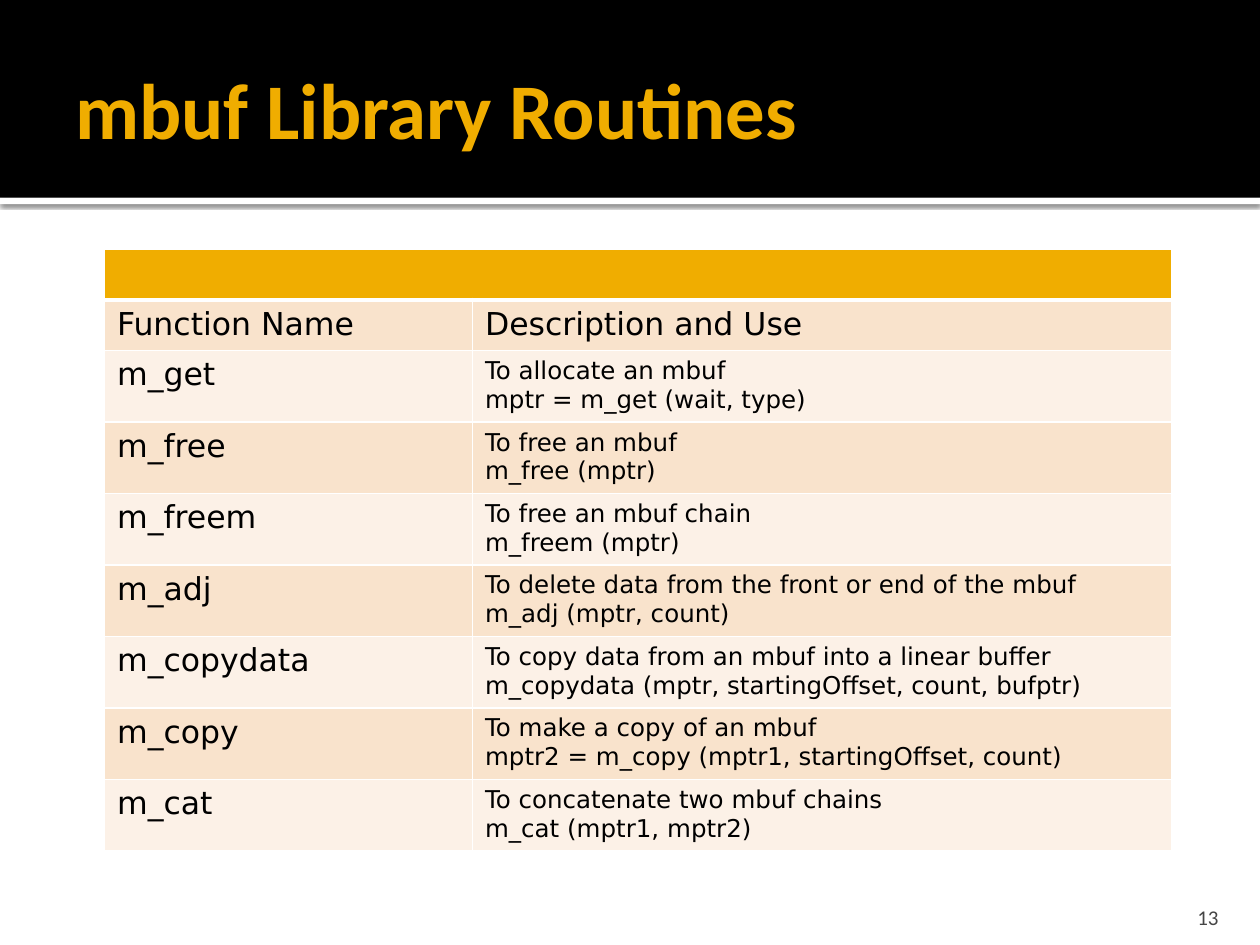
from lxml import etree
from pptx import Presentation
from pptx import util as u
from pptx.dml.color import RGBColor
from pptx.enum import shapes, text
from pptx.oxml.ns import qn

COLORS = {
    "white": "FFFFFF", "black": "000000", "gold": "F0AD00",
    "dark_band": "F9E3CC", "light_band": "FCF1E7", "gray": "454545",
}


class SlideBuilder:
    heading_font = "Calibri"
    table_font = "DejaVu Sans"

    def __init__(self, slide):
        self.slide = slide

    def color(self, name):
        return RGBColor.from_string(COLORS[name])

    def box(self, place):
        return [u.Inches(length) for length in place]

    def bar(self, place, color):
        shape = self.slide.shapes.add_shape(shapes.MSO_SHAPE.RECTANGLE, *self.box(place))
        shape.shadow.inherit = False
        shape.fill.solid()
        shape.fill.fore_color.rgb = self.color(color)
        shape.line.fill.background()
        return shape

    def cast_shadow(self, shape, blur, distance, opacity):
        effects = shape._element.spPr.find(qn("a:effectLst"))
        shadow = etree.SubElement(
            effects, qn("a:outerShdw"), blurRad=str(u.Pt(blur)),
            dist=str(u.Pt(distance)), dir="5400000", algn="t", rotWithShape="0")
        tint = etree.SubElement(shadow, qn("a:srgbClr"), val=COLORS["black"])
        etree.SubElement(tint, qn("a:alpha"), val=str(opacity * 1000))

    def add_lines(self, frame, lines, size, font, color, bold=False, align=None):
        for index, line in enumerate(lines):
            paragraph = frame.paragraphs[0] if index == 0 else frame.add_paragraph()
            paragraph.alignment = align
            run = paragraph.add_run()
            run.text = line
            run.font.size = u.Pt(size)
            run.font.name = font
            run.font.bold = bold
            run.font.color.rgb = self.color(color)

    def label(self, place, words, size, color, margins, anchor, **style):
        frame = self.slide.shapes.add_textbox(*self.box(place)).text_frame
        frame.word_wrap = True
        frame.vertical_anchor = anchor
        (frame.margin_left, frame.margin_top,
         frame.margin_right, frame.margin_bottom) = self.box(margins)
        self.add_lines(frame, [words], size, self.heading_font, color, **style)

    def style_cell(self, cell, fill, bottom=1):
        properties = cell._tc.get_or_add_tcPr()
        for side, width in (("L", 1), ("R", 1), ("T", 1), ("B", bottom)):
            line = etree.SubElement(properties, qn("a:ln" + side), w=str(u.Pt(width)))
            solid = etree.SubElement(line, qn("a:solidFill"))
            etree.SubElement(solid, qn("a:srgbClr"), val=COLORS["white"])
        cell.fill.solid()
        cell.fill.fore_color.rgb = self.color(fill)

    def routine_table(self, place, widths, header_height, row_height, headings, routines):
        table = self.slide.shapes.add_table(
            len(routines) + 2, len(widths), *self.box(place)).table
        for column, width in zip(table.columns, widths):
            column.width = u.Inches(width)
        for index, row in enumerate(table.rows):
            row.height = u.Inches(header_height if index < 2 else row_height)
        for cell in table.rows[0].cells:
            self.style_cell(cell, "gold", bottom=3)
        table.cell(0, 0).merge(table.cell(0, 1))
        body = [(headings[0], [headings[1]], 18)]
        body += [(name, lines, 14) for name, *lines in routines]
        for index, (name, lines, size) in enumerate(body, start=1):
            fill = "dark_band" if index % 2 else "light_band"
            for column, (words, points) in enumerate((([name], 18), (lines, size))):
                cell = table.cell(index, column)
                self.style_cell(cell, fill)
                self.add_lines(cell.text_frame, words, points, self.table_font, "black")


ROUTINES = [
    ("m_get", "To allocate an mbuf", "mptr = m_get (wait, type)"),
    ("m_free", "To free an mbuf", "m_free (mptr)"),
    ("m_freem", "To free an mbuf chain", "m_freem (mptr)"),
    ("m_adj", "To delete data from the front or end of the mbuf", "m_adj (mptr, count)"),
    ("m_copydata", "To copy data from an mbuf into a linear buffer",
     "m_copydata (mptr, startingOffset, count, bufptr)"),
    ("m_copy", "To make a copy of an mbuf", "mptr2 = m_copy (mptr1, startingOffset, count)"),
    ("m_cat", "To concatenate two mbuf chains", "m_cat (mptr1, mptr2)"),
]

presentation = Presentation()
presentation.slide_width = u.Inches(10)
presentation.slide_height = u.Inches(7.5)
builder = SlideBuilder(presentation.slides.add_slide(presentation.slide_layouts[6]))

divider = builder.bar((0, 1.57, 10, 0.05), "white")
builder.cast_shadow(divider, blur=2.5, distance=0.8, opacity=60)
builder.bar((0, 0, 10, 1.57), "black")
builder.label((0.5, 0.17, 9, 1.37), "mbuf Library Routines", 45, "gold",
              (0.1, 0.05, 0.05, 0.05), text.MSO_ANCHOR.MIDDLE, bold=True)
builder.routine_table((0.83, 1.98, 8.47, 4.72), (2.92, 5.55), 0.4, 0.56,
                      ("Function Name", "Description and Use"), ROUTINES)
builder.label((8.97, 7.08, 0.8, 0.3), "13", 12, "gray",
              (0.1, 0.05, 0.1, 0), text.MSO_ANCHOR.BOTTOM, align=text.PP_ALIGN.RIGHT)

presentation.save("out.pptx")
